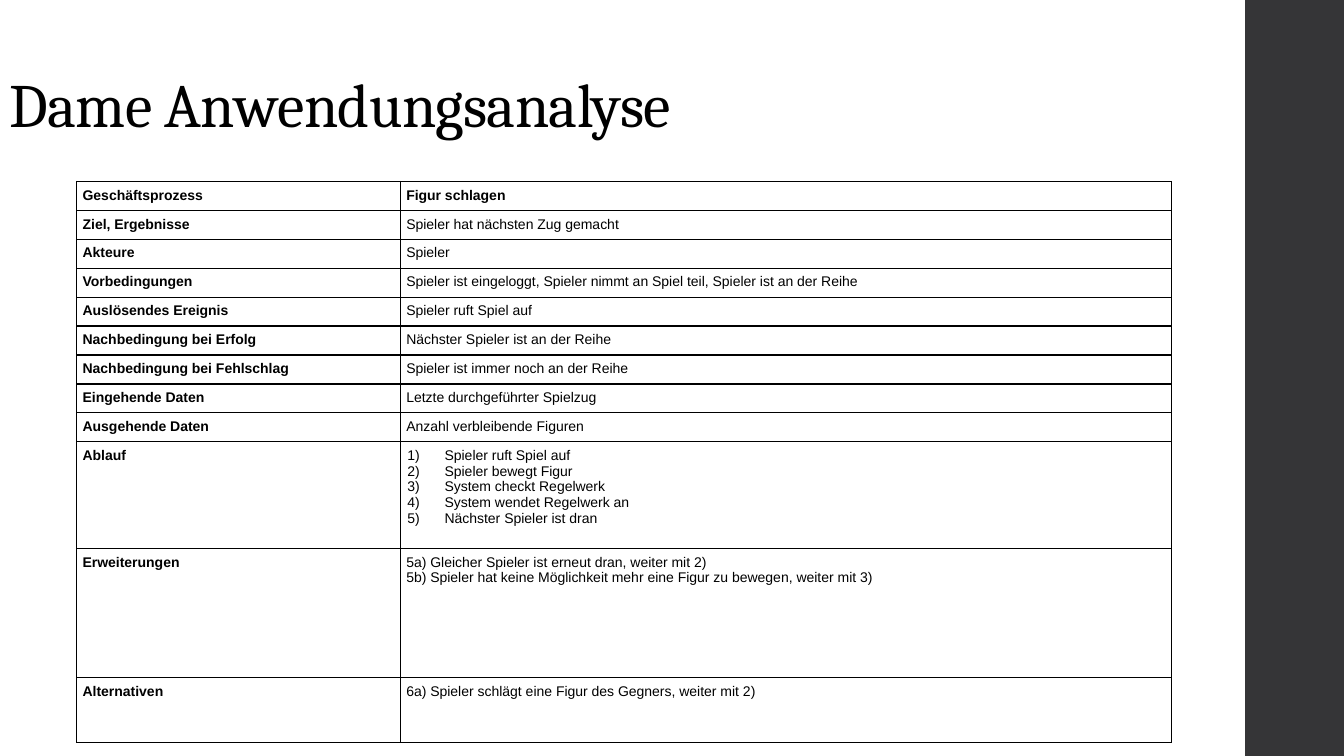
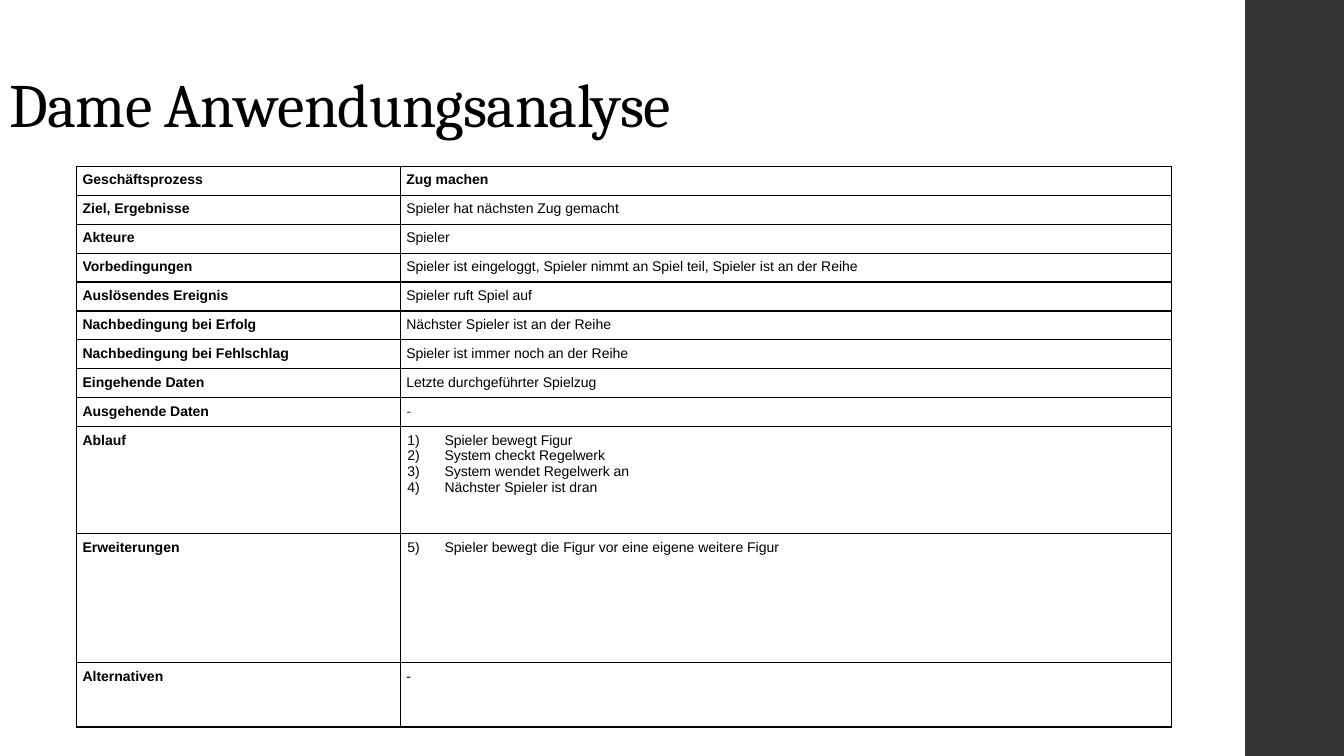
import dataclasses

import lxml.etree
import pptx
import pptx.dml.color
import pptx.enum.shapes
import pptx.enum.text
import pptx.oxml.ns
import pptx.util

Inches = pptx.util.Inches
Pt = pptx.util.Pt
qn = pptx.oxml.ns.qn


@dataclasses.dataclass(frozen=True)
class Theme:
    ink: str = "000000"
    band: str = "353537"
    accent: str = "333399"
    title_font: str = "Cambria"
    body_font: str = "Arial"
    title_size: int = 44
    body_size: int = 10
    border_width: float = 0.96


@dataclasses.dataclass(frozen=True)
class Entry:
    """Content of a value cell; first_number numbers its lines."""
    lines: tuple
    first_number: int = 0
    accented: bool = False


THEME = Theme()
SLIDE_WIDTH, SLIDE_HEIGHT = 13.33, 7.5
BAND_LEFT = 12.35
TABLE_LEFT = 0.76
COLUMN_WIDTHS = (3.21, 7.65)
ROW_HEIGHTS = (0.27,) * 9 + (1.06, 1.28, 0.64)
CELL_INSET = 0.06

TITLE = "Dame Anwendungsanalyse"
LABELS = (
    "Geschäftsprozess",
    "Ziel, Ergebnisse",
    "Akteure",
    "Vorbedingungen",
    "Auslösendes Ereignis",
    "Nachbedingung bei Erfolg",
    "Nachbedingung bei Fehlschlag",
    "Eingehende Daten",
    "Ausgehende Daten",
    "Ablauf",
    "Erweiterungen",
    "Alternativen",
)
SHARED_VALUES = tuple(Entry((line,)) for line in (
    "Spieler hat nächsten Zug gemacht",
    "Spieler",
    "Spieler ist eingeloggt, Spieler nimmt an Spiel teil, Spieler ist an der Reihe",
    "Spieler ruft Spiel auf",
    "Nächster Spieler ist an der Reihe",
    "Spieler ist immer noch an der Reihe",
    "Letzte durchgeführter Spielzug",
))
MOVE_STEPS = (
    "Spieler bewegt Figur",
    "System checkt Regelwerk",
    "System wendet Regelwerk an",
    "Nächster Spieler ist dran",
)
CAPTURE_VALUES = (
    Entry(("Figur schlagen",)),
    *SHARED_VALUES,
    Entry(("Anzahl verbleibende Figuren",)),
    Entry(("Spieler ruft Spiel auf", *MOVE_STEPS), first_number=1),
    Entry((
        "5a) Gleicher Spieler ist erneut dran, weiter mit 2)",
        "5b) Spieler hat keine Möglichkeit mehr eine Figur zu bewegen, weiter mit 3)",
    )),
    Entry(("6a) Spieler schlägt eine Figur des Gegners, weiter mit 2)",)),
)
MOVE_VALUES = (
    Entry(("Zug machen",)),
    *SHARED_VALUES,
    Entry(("-",), accented=True),
    Entry(MOVE_STEPS, first_number=1),
    Entry(("Spieler bewegt die Figur vor eine eigene weitere Figur",), first_number=5),
    Entry(("-",)),
)


def rgb(value):
    return pptx.dml.color.RGBColor.from_string(value)


def style_run(run, font_name, size, color, bold=False, italic=False):
    font = run.font
    font.name, font.size = font_name, Pt(size)
    font.bold, font.italic = bold, italic
    font.color.rgb = rgb(color)


def add_band(page):
    band = page.shapes.add_shape(
        pptx.enum.shapes.MSO_SHAPE.RECTANGLE,
        Inches(BAND_LEFT), 0, Inches(SLIDE_WIDTH - BAND_LEFT), Inches(SLIDE_HEIGHT))
    band.shadow.inherit = False
    band.fill.solid()
    band.fill.fore_color.rgb = rgb(THEME.band)
    band.line.fill.background()


def add_title(page, text):
    frame = page.shapes.add_textbox(0, 0, Inches(10.6), Inches(1.45)).text_frame
    frame.word_wrap = True
    frame.vertical_anchor = pptx.enum.text.MSO_ANCHOR.BOTTOM
    frame.text = text
    para = frame.paragraphs[0]
    para.line_spacing = 0.9
    run = para.runs[0]
    style_run(run, THEME.title_font, THEME.title_size, THEME.ink)
    run.font._element.set("spc", "-50")


def number_paragraph(para, start):
    """Give the paragraph a hanging automatic number such as 1)."""
    properties = para._p.get_or_add_pPr()
    properties.set("marL", str(Inches(0.38)))
    properties.set("indent", str(Inches(-0.37)))
    numbering = lxml.etree.SubElement(properties, qn("a:buAutoNum"), type="arabicParenR")
    if start > 1:
        numbering.set("startAt", str(start))


def frame_cell(cell):
    """Set the borders, the insets and an empty fill."""
    properties = cell._tc.get_or_add_tcPr()
    for side in ("a:lnL", "a:lnR", "a:lnT", "a:lnB"):
        border = lxml.etree.SubElement(
            properties, qn(side), w=str(Pt(THEME.border_width)))
        fill = lxml.etree.SubElement(border, qn("a:solidFill"))
        lxml.etree.SubElement(fill, qn("a:srgbClr"), val=THEME.ink)
    cell.fill.background()
    cell.margin_left = cell.margin_right = Inches(CELL_INSET)
    cell.margin_top = cell.margin_bottom = Inches(CELL_INSET)


def fill_cell(cell, entry, bold):
    frame_cell(cell)
    cell.text_frame.text = "\n".join(entry.lines)
    color = THEME.accent if entry.accented else THEME.ink
    for para in cell.text_frame.paragraphs:
        if entry.first_number:
            number_paragraph(para, entry.first_number)
        for run in para.runs:
            style_run(run, THEME.body_font, THEME.body_size, color, bold, entry.accented)


def add_process_table(page, top, values):
    table = page.shapes.add_table(
        len(LABELS), len(COLUMN_WIDTHS), Inches(TABLE_LEFT), Inches(top),
        Inches(sum(COLUMN_WIDTHS)), Inches(sum(ROW_HEIGHTS))).table
    table.first_row = table.horz_banding = False
    for column, width in zip(table.columns, COLUMN_WIDTHS):
        column.width = Inches(width)
    for index, (label, value) in enumerate(zip(LABELS, values)):
        table.rows[index].height = Inches(ROW_HEIGHTS[index])
        fill_cell(table.cell(index, 0), Entry((label,)), bold=True)
        fill_cell(table.cell(index, 1), value, bold=index == 0)


def main():
    deck = pptx.Presentation()
    deck.slide_width, deck.slide_height = Inches(SLIDE_WIDTH), Inches(SLIDE_HEIGHT)
    for top, values in ((1.8, CAPTURE_VALUES), (1.65, MOVE_VALUES)):
        page = deck.slides.add_slide(deck.slide_layouts[6])
        add_band(page)
        add_title(page, TITLE)
        add_process_table(page, top, values)
    deck.save("out.pptx")


if __name__ == "__main__":
    main()
